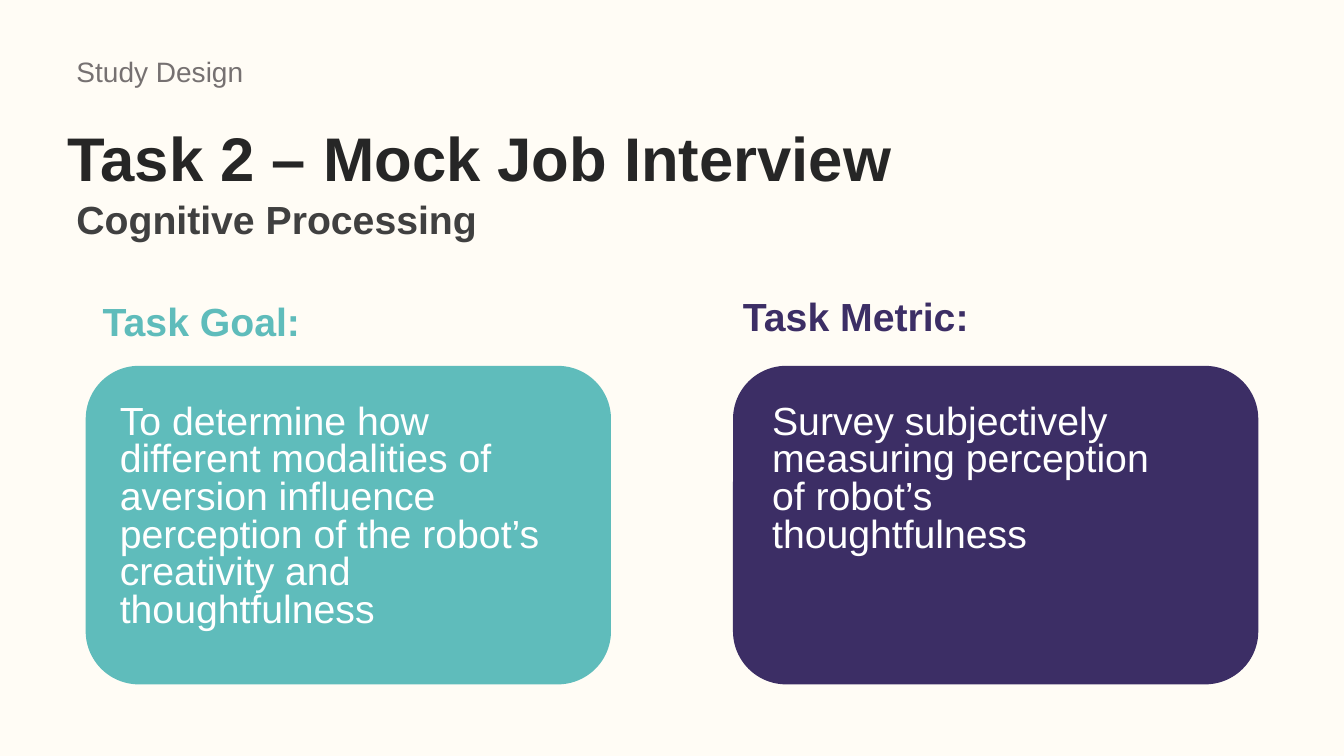
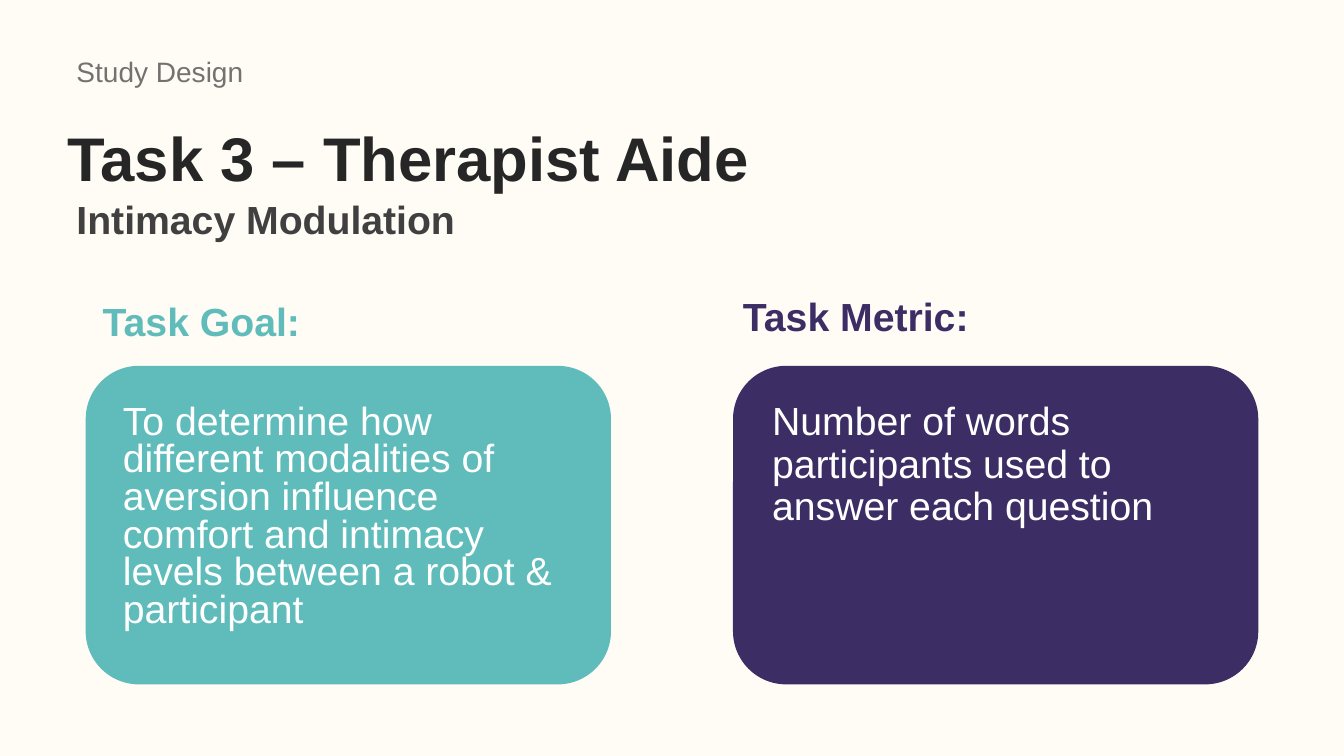
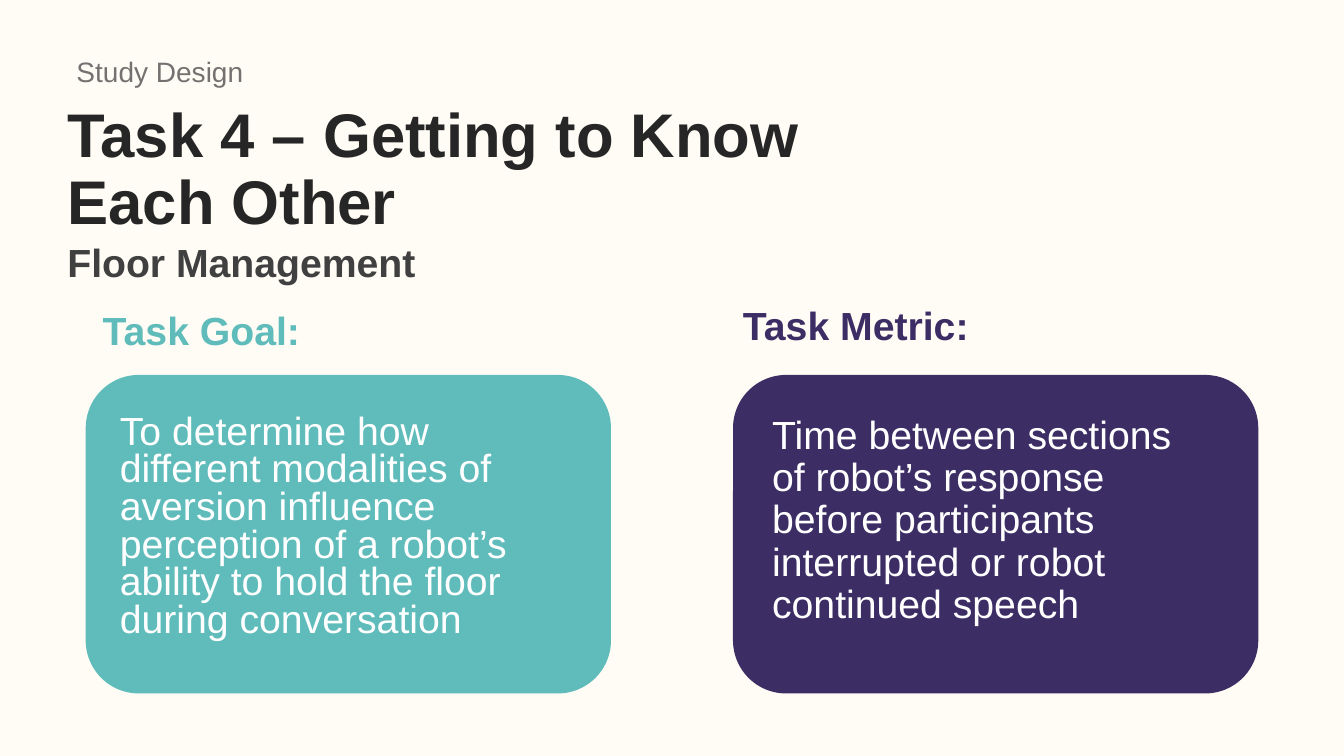
from dataclasses import dataclass

from pptx import Presentation
from pptx import util as u
from pptx.dml.color import RGBColor
from pptx.enum import shapes, text

EMU_PER_PX = 9144  # 100 px to the inch

CREAM = RGBColor(0xFF, 0xFC, 0xF5)
TEAL = RGBColor(0x5F, 0xBC, 0xBB)
PURPLE = RGBColor(0x3C, 0x2E, 0x65)
INK = RGBColor(0x26, 0x26, 0x26)
CHARCOAL = RGBColor(0x40, 0x40, 0x40)
GRAY = RGBColor(0x76, 0x71, 0x71)
WHITE = RGBColor(0xFF, 0xFF, 0xFF)

FONT = "Arial"
TITLE_ONLY = 5
PANEL_WIDTH, PANEL_HEIGHT = 521, 316
LABEL_WIDTH, LABEL_HEIGHT = 575, 59


@dataclass
class PanelText:
    """Body text of a panel, placed from the panel's top left corner."""
    words: str
    left: int
    top: int
    width: int
    height: int
    line_spacing: float


@dataclass
class Task:
    title_lines: tuple
    title_top: int
    subtitle: str
    subtitle_at: tuple
    panel_top: int
    goal: PanelText
    metric: PanelText


TASKS = (
    Task(("Task 2 – Mock Job Interview",), 88,
         "Cognitive Processing", (66, 194), 363,
         PanelText("To determine how different modalities of aversion influence "
                   "perception of the robot’s creativity and thoughtfulness",
                   24, 34, 468, 254, 0.8),
         PanelText("Survey subjectively measuring perception of robot’s "
                   "thoughtfulness", 29, 34, 435, 175, 0.8)),
    Task(("Task 3 – Therapist Aide",), 88,
         "Intimacy Modulation", (66, 194), 363,
         PanelText("To determine how different modalities of aversion influence "
                   "comfort and intimacy levels between a robot & participant",
                   27, 34, 447, 254, 0.8),
         PanelText("Number of words participants used to answer each question",
                   29, 31, 433, 254, 0.9)),
    Task(("Task 4 – Getting to Know", "Each Other"), 97,
         "Floor Management", (57, 237), 372,
         PanelText("To determine how different modalities of aversion influence "
                   "perception of a robot’s ability to hold the floor during "
                   "conversation", 24, 35, 468, 254, 0.8),
         PanelText("Time between sections of robot’s response before participants "
                   "interrupted or robot continued speech",
                   29, 35, 435, 236, 0.9)),
)


def px(length):
    return u.Emu(length * EMU_PER_PX)


def write(shape, lines, size, color, bold=False, line_spacing=0.9):
    """Fill a shape with one left-aligned paragraph, broken between lines."""
    frame = shape.text_frame
    frame.word_wrap = True
    frame.auto_size = text.MSO_AUTO_SIZE.NONE
    paragraph = frame.paragraphs[0]
    paragraph.alignment = text.PP_ALIGN.LEFT
    paragraph.line_spacing = line_spacing
    for index, line in enumerate(lines):
        if index:
            paragraph.add_line_break()
        run = paragraph.add_run()
        run.text = line
        run.font.name = FONT
        run.font.size = u.Pt(size)
        run.font.bold = bold
        run.font.color.rgb = color


def add_text(slide, left, top, width, height, words, size, color, **style):
    box = slide.shapes.add_textbox(px(left), px(top), px(width), px(height))
    write(box, (words,), size, color, **style)


def add_heading(slide, task):
    title = slide.shapes.title
    title.left, title.top = px(57), px(task.title_top)
    title.width, title.height = px(1058), px(145)
    title.text_frame.vertical_anchor = text.MSO_ANCHOR.MIDDLE
    write(title, task.title_lines, 44, INK, bold=True)
    add_text(slide, 66, 53, 575, 70, "Study Design", 20, GRAY)
    add_text(slide, *task.subtitle_at, LABEL_WIDTH, LABEL_HEIGHT,
             task.subtitle, 28, CHARCOAL, bold=True)


def add_panel(slide, left, top, color, label, label_offset, body):
    """Draw a rounded panel with its label above and body text inside."""
    panel = slide.shapes.add_shape(shapes.MSO_SHAPE.ROUNDED_RECTANGLE,
                                   px(left), px(top),
                                   px(PANEL_WIDTH), px(PANEL_HEIGHT))
    panel.shadow.inherit = False
    panel.fill.solid()
    panel.fill.fore_color.rgb = color
    panel.line.fill.background()
    label_left, label_top = label_offset
    add_text(slide, left + label_left, top + label_top, LABEL_WIDTH, LABEL_HEIGHT,
             label, 28, color, bold=True)
    add_text(slide, left + body.left, top + body.top, body.width, body.height,
             body.words, 28, WHITE, line_spacing=body.line_spacing)


def add_task_slide(presentation, task):
    slide = presentation.slides.add_slide(presentation.slide_layouts[TITLE_ONLY])
    add_heading(slide, task)
    add_panel(slide, 85, task.panel_top, TEAL, "Task Goal:", (7, -68), task.goal)
    add_panel(slide, 727, task.panel_top, PURPLE, "Task Metric:", (0, -73),
              task.metric)


def main():
    presentation = Presentation()
    presentation.slide_width, presentation.slide_height = px(1333), px(750)
    background = presentation.slide_master.background.fill
    background.solid()
    background.fore_color.rgb = CREAM
    for task in TASKS:
        add_task_slide(presentation, task)
    presentation.save("out.pptx")


if __name__ == "__main__":
    main()
